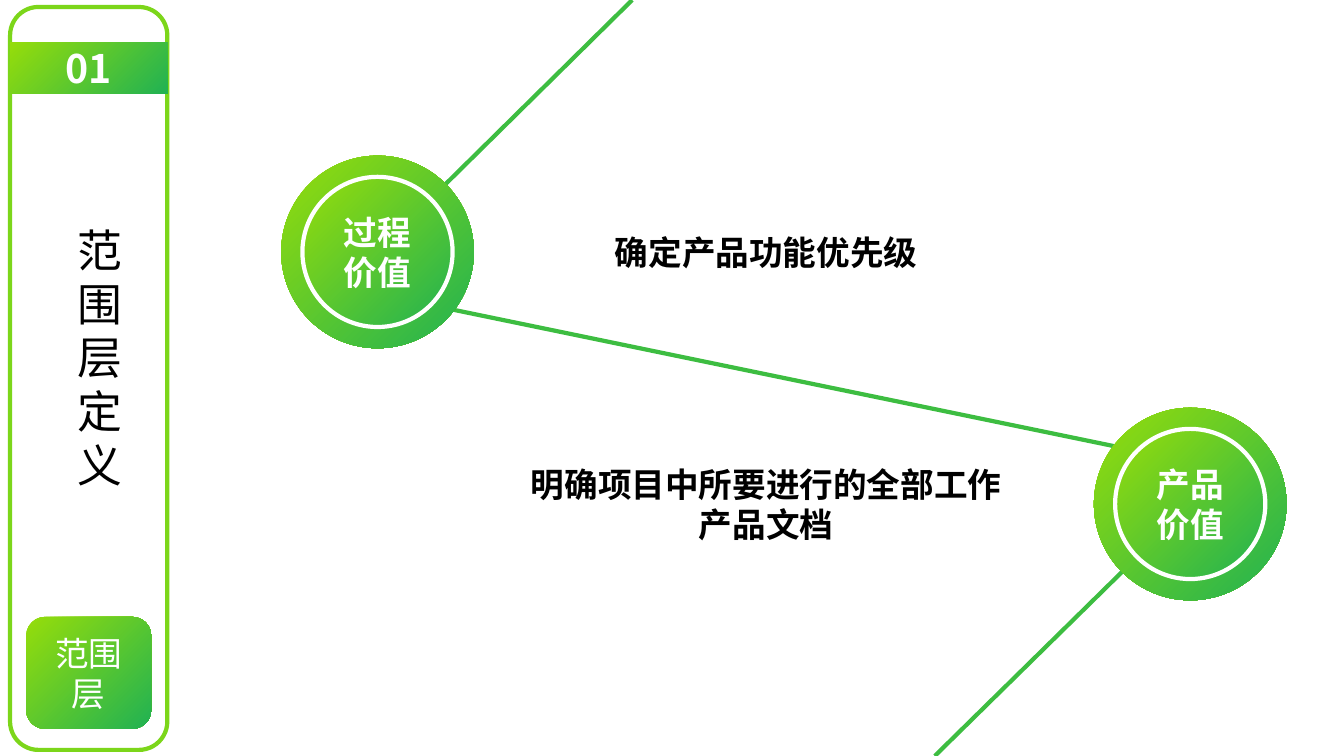
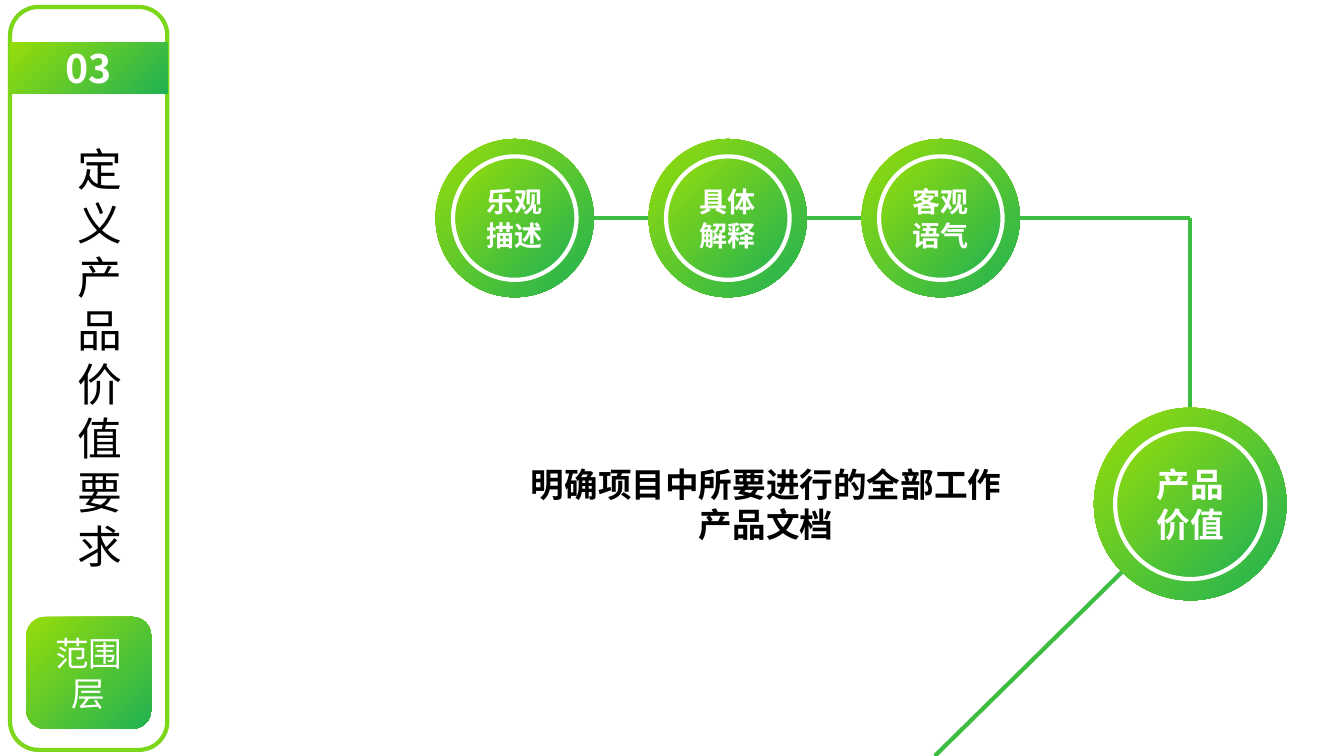
import dataclasses
import math

import lxml.etree
import pptx
import pptx.dml.color
import pptx.enum.shapes
import pptx.enum.text
import pptx.oxml.ns
import pptx.util

SHAPE = pptx.enum.shapes.MSO_SHAPE
MIDDLE = pptx.enum.text.MSO_ANCHOR.MIDDLE
CENTER = pptx.enum.text.PP_ALIGN.CENTER


@dataclasses.dataclass(frozen=True)
class Theme:
    """Colours, font and type sizes of the deck."""
    font: str = "Noto Sans CJK SC"
    black: str = "000000"
    white: str = "FFFFFF"
    frame: str = "7CD61A"
    connector: str = "3DBD41"
    gradient: tuple = ("96DD0A", "21B253")
    title: int = 32
    number: int = 28
    body: int = 24
    small: int = 20
    stroke: int = 3
    line_spacing: float = 1.2


@dataclasses.dataclass(frozen=True)
class Box:
    """A rectangle in EMU that hands out areas in percent of itself."""
    left: float
    top: float
    width: float
    height: float

    def point(self, x, y):
        """Return the point at the given percentages."""
        return self.left + self.width * x / 100, self.top + self.height * y / 100

    def area(self, x, y, width, height):
        """Return the inner box at the given percentages."""
        return Box(*self.point(x, y), self.width * width / 100, self.height * height / 100)

    def square(self, x, y, width):
        """Return a square centred on a point, its side a share of the width."""
        center_x, center_y = self.point(x, y)
        side = self.width * width / 100
        return Box(center_x - side / 2, center_y - side / 2, side, side)

    def rim(self, degrees):
        """Return a point on the inscribed circle, clockwise from the right."""
        angle = math.radians(degrees)
        return self.point(50 + 50 * math.cos(angle), 50 + 50 * math.sin(angle))

    def frame(self):
        """Return left, top, width and height as whole EMU."""
        return [round(value) for value in (self.left, self.top, self.width, self.height)]


THEME = Theme()
PAGE = Box(0, 0, pptx.util.Inches(13.33), pptx.util.Inches(7.5))
SIDEBAR = PAGE.area(0.75, 0.93, 11.7, 98.27)
UPPER_ROW, LOWER_ROW = 33.33, 66.67
LARGE, SMALL = 14.33, 11.78
PRODUCT = PAGE.square(88.56, LOWER_ROW, LARGE)
RING_SHARE = 78


def rgb(value):
    """Turn a hex string into a colour."""
    return pptx.dml.color.RGBColor.from_string(value)


def apply(target, values):
    """Set every attribute named in a dict."""
    for name, value in values.items():
        setattr(target, name, value)


def write(shape, lines, size, color, bold=False, inset=0.1):
    """Fill a shape with centred paragraphs."""
    frame = shape.text_frame
    side, edge = pptx.util.Inches(inset), pptx.util.Inches(inset / 2)
    apply(frame, {"word_wrap": True, "auto_size": pptx.enum.text.MSO_AUTO_SIZE.NONE,
                  "vertical_anchor": MIDDLE, "margin_left": side, "margin_right": side,
                  "margin_top": edge, "margin_bottom": edge})
    for index, line in enumerate(lines):
        paragraph = frame.add_paragraph() if index else frame.paragraphs[0]
        apply(paragraph, {"alignment": CENTER, "space_before": pptx.util.Pt(0),
                          "line_spacing": pptx.util.Pt(size * THEME.line_spacing)})
        run = paragraph.add_run()
        run.text = line
        run.font.color.rgb = rgb(color)
        apply(run.font, {"size": pptx.util.Pt(size), "bold": bold, "name": THEME.font})
        properties = run._r.get_or_add_rPr()
        lxml.etree.SubElement(properties, pptx.oxml.ns.qn("a:ea"), typeface=THEME.font)


def stroke(line, color):
    """Give an outline the deck's weight and a colour."""
    line.color.rgb = rgb(color)
    line.width = pptx.util.Pt(THEME.stroke)


def add_gradient_shape(slide, kind, box, outline=None):
    """Add a green gradient shape, outlined on request."""
    shape = slide.shapes.add_shape(kind, *box.frame())
    shape.shadow.inherit = False
    shape.fill.gradient()
    shape.fill.gradient_angle = 315
    for stop, color in zip(shape.fill.gradient_stops, THEME.gradient):
        stop.color.rgb = rgb(color)
    if outline:
        stroke(shape.line, outline)
    else:
        shape.line.fill.background()
    return shape


def add_line(slide, start, end):
    """Add one straight green line."""
    connector = slide.shapes.add_connector(
        pptx.enum.shapes.MSO_CONNECTOR.STRAIGHT, *(round(value) for value in (*start, *end)))
    stroke(connector.line, THEME.connector)
    lxml.etree.SubElement(connector._element.spPr, pptx.oxml.ns.qn("a:effectLst"))


def ring(box):
    """Return the box of the white ring inside a disc."""
    return box.square(50, 50, RING_SHARE)


def add_badge(slide, box, label, size):
    """Add a disc with a white ring and a label."""
    add_gradient_shape(slide, SHAPE.OVAL, box)
    circle = add_gradient_shape(slide, SHAPE.OVAL, ring(box), THEME.white)
    write(circle, [label], size, THEME.white, True)


def add_caption(slide, row, lines):
    """Add a bold caption centred on a row of the page."""
    box = PAGE.area(35.35, row - 7, 43.3, 14)
    write(slide.shapes.add_textbox(*box.frame()), lines, THEME.body, THEME.black, True)


def add_sidebar(slide, box, number, title):
    """Add the framed column with number, title and chapter tag."""
    frame = slide.shapes.add_shape(SHAPE.ROUNDED_RECTANGLE, *box.frame())
    frame.adjustments[0] = 0.18
    frame.shadow.inherit = False
    frame.fill.background()
    stroke(frame.line, THEME.frame)
    band = add_gradient_shape(slide, SHAPE.RECTANGLE, box.area(0, 4.75, 100, 6.92))
    write(band, [number], THEME.number, THEME.white, True)
    tag = add_gradient_shape(slide, SHAPE.ROUNDED_RECTANGLE, box.area(10.26, 82.09, 79.49, 15.06))
    write(tag, ["范围层"], THEME.body, THEME.white)
    heading = slide.shapes.title
    left, top, width, height = box.area(41, 17.1, 32, 60).frame()
    apply(heading, {"left": left, "top": top, "width": width, "height": height})
    write(heading, [title], THEME.title, THEME.black, inset=0)


def add_product(slide):
    """Add the product badge, its caption and its line off the page."""
    add_line(slide, PAGE.point(69.55, 100), ring(PRODUCT).rim(135))
    add_badge(slide, PRODUCT, "产品价值", THEME.body)
    add_caption(slide, LOWER_ROW, ["明确项目中所要进行的全部工作", "产品文档"])


def start_slide(presentation, number, title):
    """Add a title-only slide with its sidebar."""
    slide = presentation.slides.add_slide(presentation.slide_layouts[5])
    add_sidebar(slide, SIDEBAR, number, title)
    return slide


def build_definition(presentation):
    """Build the slide with the two values."""
    slide = start_slide(presentation, "01", "范围层定义")
    process = PAGE.square(28.09, UPPER_ROW, LARGE)
    add_line(slide, ring(process).rim(-45), PAGE.point(47.04, 0))
    add_line(slide, ring(process).rim(45), ring(PRODUCT).rim(225))
    add_badge(slide, process, "过程价值", THEME.body)
    add_caption(slide, UPPER_ROW, ["确定产品功能优先级"])
    add_product(slide)


def build_requirements(presentation):
    """Build the slide with three requirements leading to the product."""
    slide = start_slide(presentation, "03", "定义产品价值要求")
    labels = ["乐观描述", "具体解释", "客观语气"]
    discs = [PAGE.square(38.3 + 15.85 * index, 28.85, SMALL) for index in range(len(labels))]
    for disc, following in zip(discs, discs[1:]):
        add_line(slide, ring(disc).rim(0), ring(following).rim(180))
    corner = PRODUCT.rim(-90)[0], discs[-1].rim(0)[1]
    add_line(slide, ring(discs[-1]).rim(0), corner)
    add_line(slide, corner, ring(PRODUCT).rim(-90))
    for disc, label in zip(discs, labels):
        add_badge(slide, disc, label, THEME.small)
    add_product(slide)


def main():
    """Build and save the deck."""
    presentation = pptx.Presentation()
    presentation.slide_width, presentation.slide_height = PAGE.width, PAGE.height
    build_definition(presentation)
    build_requirements(presentation)
    presentation.save("out.pptx")


if __name__ == "__main__":
    main()
